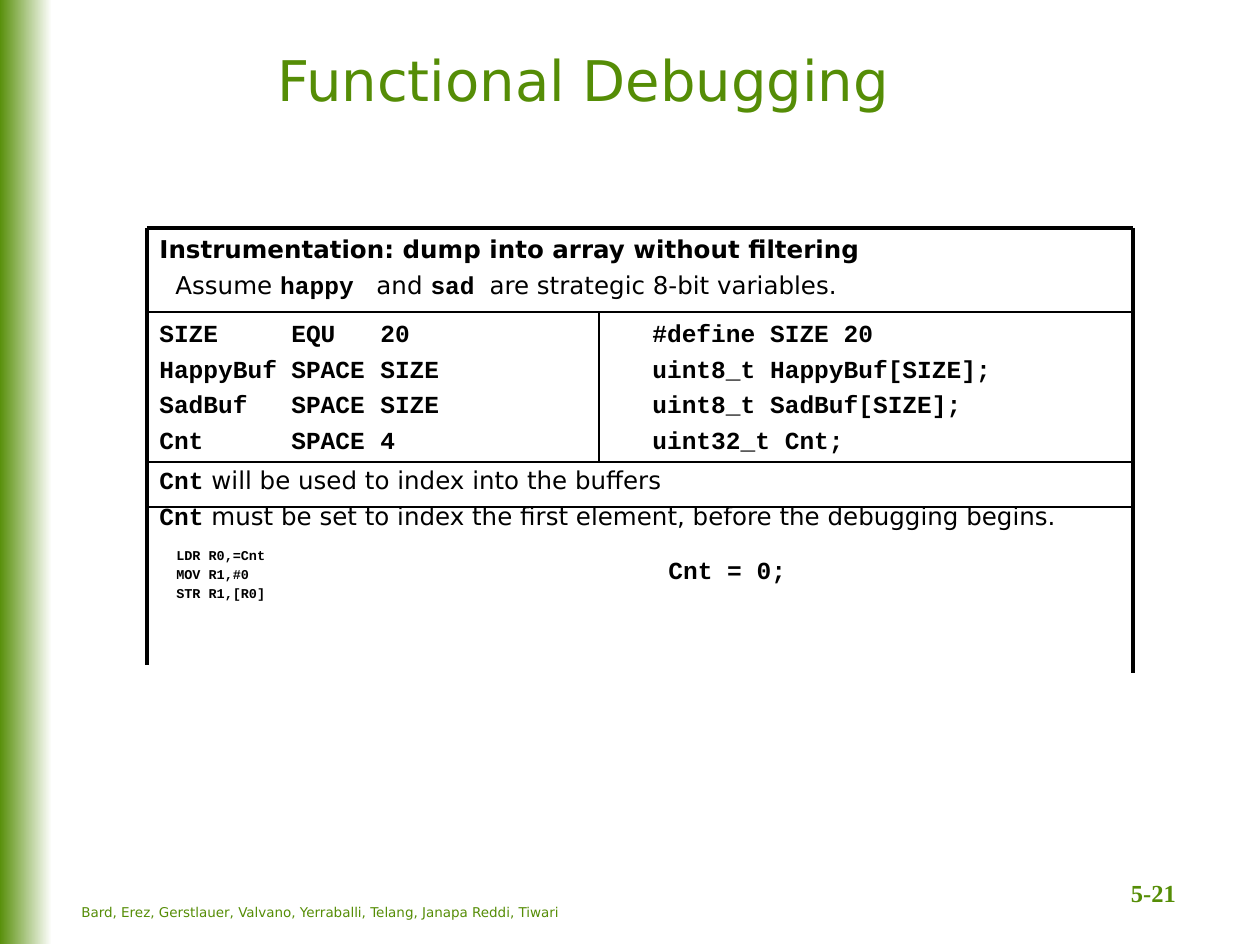
"""Build the Functional Debugging slide."""
from pptx import Presentation
from pptx.dml.color import RGBColor
from pptx.enum.shapes import MSO_CONNECTOR, MSO_SHAPE
from pptx.enum.text import MSO_ANCHOR, MSO_AUTO_SIZE, PP_ALIGN
from pptx.oxml.ns import qn
from pptx.util import Pt
from lxml import etree

PX = 914400 / 126
GREEN = RGBColor(0x55, 0x8D, 0x06)
WHITE = RGBColor(255, 255, 255)
BLACK = RGBColor(0, 0, 0)
SANS, MONO, SERIF = "DejaVu Sans", "Courier New", "Times New Roman"
STRAIGHT, RECTANGLE = MSO_CONNECTOR.STRAIGHT, MSO_SHAPE.RECTANGLE
LEFT, CENTER = PP_ALIGN.LEFT, PP_ALIGN.CENTER
TOP, MIDDLE, BOTTOM = MSO_ANCHOR.TOP, MSO_ANCHOR.MIDDLE, MSO_ANCHOR.BOTTOM
NO_AUTOFIT = MSO_AUTO_SIZE.NONE


def emu(*lengths):
    return [round(length * PX) for length in lengths]


class Page:
    """Holds the style and the current slide."""

    def __init__(self, slide):
        self.slide = slide
        self.size = 14
        self.gap = 3.5

    def title(self, text, area):
        box = self.slide.shapes.title
        box.left, box.top, box.width, box.height = emu(*area)
        frame = box.text_frame
        frame.text = text
        frame.auto_size = NO_AUTOFIT
        frame.vertical_anchor = MIDDLE
        para = frame.paragraphs[0]
        para.alignment = CENTER
        self.font(para.font, SANS, 32, GREEN)

    def font(self, font, name, size, color, bold=False):
        font.name, font.size, font.bold = name, Pt(size), bold
        font.color.rgb = color

    def text(self, area, lines, name=MONO, size=None, color=BLACK, bold=True,
             align=LEFT, anchor=TOP, spacing=1.0, gap=None, indents=(), tabs=()):
        box = self.slide.shapes.add_textbox(*emu(*area))
        frame = box.text_frame
        frame.word_wrap = True
        frame.auto_size = NO_AUTOFIT
        frame.vertical_anchor = anchor
        for index, spans in enumerate(lines):
            para = frame.add_paragraph() if index else frame.paragraphs[0]
            para.alignment = align
            para.line_spacing = spacing
            para.space_before = Pt(self.gap if gap is None else gap)
            self.font(para.font, name, size or self.size, color, bold)
            if indents:
                self.indent(para, indents[index])
            if tabs:
                self.tab_stops(para, tabs)
            if isinstance(spans, str):
                para.add_run().text = spans
                continue
            for words, face, heavy in spans:
                span = para.add_run()
                span.text = words
                span.font.name, span.font.bold = face, heavy

    def indent(self, para, length):
        properties = para._p.get_or_add_pPr()
        properties.set("marL", str(emu(length)[0]))
        properties.set("indent", "0")

    def tab_stops(self, para, stops):
        tab_list = etree.Element(qn("a:tabLst"))
        for stop in emu(*stops):
            etree.SubElement(tab_list, qn("a:tab"), pos=str(stop), algn="l")
        para._p.get_or_add_pPr().find(qn("a:defRPr")).addprevious(tab_list)

    def line(self, start, end, width):
        line = self.slide.shapes.add_connector(STRAIGHT, *emu(*start, *end))
        line.line.color.rgb = BLACK
        line.line.width = Pt(width)
        etree.SubElement(line._element.spPr, qn("a:effectLst"))

    def gradient_bar(self, area, colors):
        bar = self.slide.shapes.add_shape(RECTANGLE, *emu(*area))
        bar.shadow.inherit = False
        bar.line.fill.background()
        bar.fill.gradient()
        bar.fill.gradient_angle = 0
        for stop, color in zip(bar.fill.gradient_stops, colors):
            stop.color.rgb = color


def main():
    deck = Presentation()
    deck.slide_width, deck.slide_height = emu(1260, 945)
    page = Page(deck.slides.add_slide(deck.slide_layouts[5]))
    left, right, middle = 147, 1133, 640
    width, half = right - left, middle - left
    top, code_top, index_top, start_top = 228, 312, 462, 507

    page.gradient_bar((-1, -1, 53, 945), (GREEN, WHITE))
    page.text((1080, 856, 147, 58), ["5-21"], SERIF, color=GREEN,
              align=CENTER, anchor=BOTTOM, gap=0)
    page.title("Functional Debugging", (53, 32, 1061, 94))

    page.text((middle + 1, 549, half, 77), ["Cnt = 0;"], indents=[15])
    page.text((left + 1, 544, half, 77),
              ["LDR R0,=Cnt", "MOV R1,#0", "STR R1,[R0]"],
              size=7.7, spacing=0.8, indents=[16] * 3)
    page.text((left, 459, width, 84), [
        [("Cnt", MONO, True),
         (" will be used to index into the buffers", SANS, False)],
        [("Cnt", MONO, True),
         (" must be set to index the first element, before the debugging begins.",
          SANS, False)],
    ])
    page.text((middle, code_top, half, 151),
              ["#define SIZE 20", "uint8_t HappyBuf[SIZE];",
               "uint8_t SadBuf[SIZE];", "uint32_t Cnt;"])
    page.text((left, code_top, half, 151),
              ["SIZE\tEQU\t20", "HappyBuf\tSPACE\tSIZE",
               "SadBuf\tSPACE\tSIZE", "Cnt\tSPACE\t4"], tabs=(132, 221))
    page.text((left, top, width, 84), [
        "Instrumentation: dump into array without filtering",
        [("Assume ", SANS, False), ("happy ", MONO, True),
         (" and ", SANS, False), ("sad ", MONO, True),
         ("are strategic 8-bit variables.", SANS, False)],
    ], SANS, indents=(0, 16))

    page.line((left, top), (right, top), 2.25)
    for y in (code_top, index_top, start_top):
        page.line((left, y), (right, y), 1)
    for x, bottom in ((left, 665), (right, 673)):
        page.line((x, top), (x, bottom), 2.25)
    page.line((599, code_top), (599, index_top), 0.75)

    page.text((69, 901, 955, 32),
              ["Bard, Erez, Gerstlauer, Valvano, Yerraballi, Telang, Janapa Reddi, Tiwari"],
              SANS, 7.7, GREEN, False, spacing=0.8, gap=0)
    deck.save("out.pptx")


if __name__ == "__main__":
    main()
